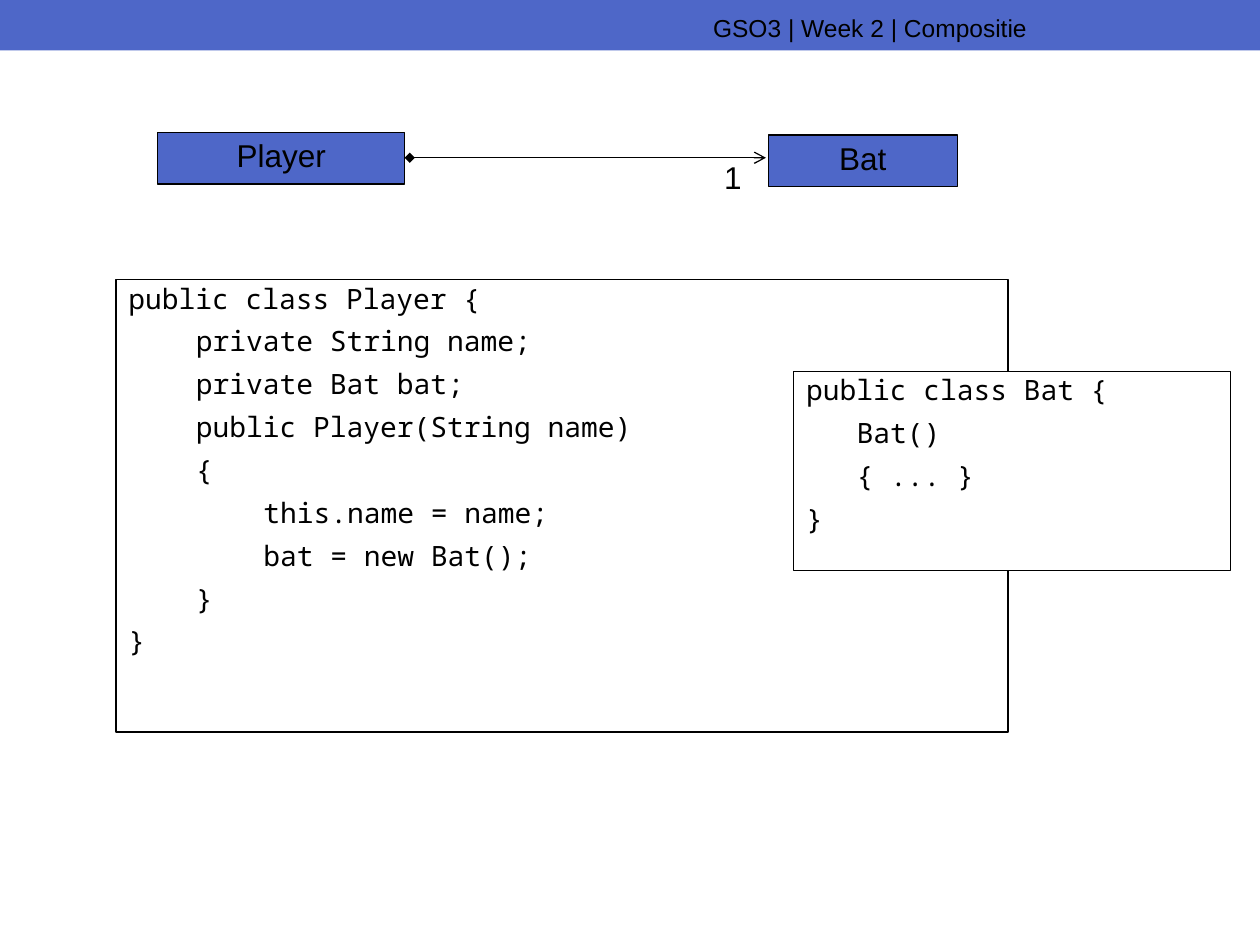
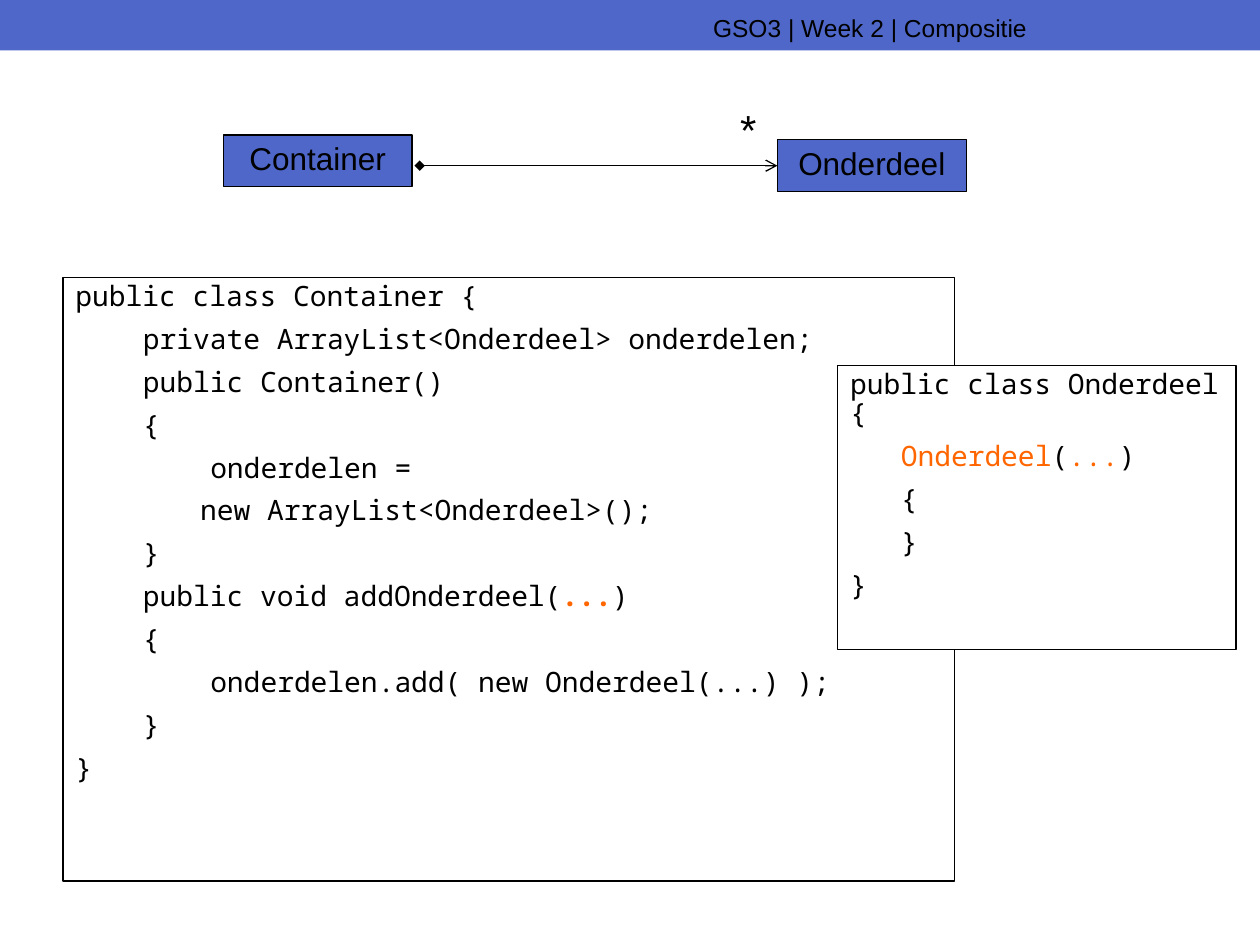
from collections import namedtuple

from lxml.etree import SubElement
from pptx import Presentation
from pptx.dml.color import RGBColor
from pptx.enum.shapes import MSO_CONNECTOR, MSO_SHAPE
from pptx.enum.text import MSO_ANCHOR, MSO_AUTO_SIZE, PP_ALIGN
from pptx.oxml.ns import qn
from pptx.util import Cm, Pt

BLUE = RGBColor(0x4E, 0x67, 0xC8)
BLACK = RGBColor(0x00, 0x00, 0x00)
WHITE = RGBColor(0xFF, 0xFF, 0xFF)
ORANGE = RGBColor(0xFF, 0x66, 0x00)

BODY_FONT = "Arial"
CODE_FONT = "Noto Sans Mono"
TITLE = "GSO3 | Week 2 | Compositie"
SLIDE_WIDTH, SLIDE_HEIGHT = 25.4, 19.05
CHARACTER_WIDTH = 0.34
CLASS_HEIGHT = 1.04

Box = namedtuple("Box", "left top width height")
Accent = namedtuple("Accent", "text bold", defaults=(False,))

PLAYER_CODE = [
    (0, "public class Player {"),
    (4, "private String name;"),
    (4, "private Bat bat;"),
    (4, "public Player(String name)"),
    (4, "{"),
    (8, "this.name = name;"),
    (8, "bat = new Bat();"),
    (4, "}"),
    (0, "}"),
]
BAT_CODE = [
    (0, "public class Bat {"),
    (3, "Bat()"),
    (3, "{ ... }"),
    (0, "}"),
]
CONTAINER_CODE = [
    (0, "public class Container {"),
    (4, "private ArrayList<Onderdeel> onderdelen;"),
    (4, "public Container()"),
    (4, "{"),
    (8, "onderdelen ="),
    (7.4, "new ArrayList<Onderdeel>();"),
    (4, "}"),
    (4, "public void addOnderdeel(", Accent("...", bold=True), ")"),
    (4, "{"),
    (8, "onderdelen.add( new Onderdeel(...) );"),
    (4, "}"),
    (0, "}"),
]
ONDERDEEL_CODE = [
    (0, "public class Onderdeel {"),
    (3, Accent("Onderdeel"), "(", Accent("..."), ")"),
    (3, "{"),
    (3, "}"),
    (0, "}"),
]


def in_cm(box):
    """Return the four measures of a box as lengths."""
    return [Cm(measure) for measure in box]


def add_run(paragraph, text, font=BODY_FONT, size=18, color=BLACK, bold=False):
    """Append formatted text to a paragraph."""
    run = paragraph.add_run()
    run.text = text
    run.font.name = font
    run.font.size = Pt(size)
    run.font.color.rgb = color
    run.font.bold = bold


def space_paragraph(paragraph, align=PP_ALIGN.LEFT, indent=0):
    """Apply the tight line spacing, half-line gap and indent."""
    paragraph.alignment = align
    paragraph.line_spacing = 0.86
    paragraph.space_before = Pt(0)
    properties = paragraph._p.get_or_add_pPr()
    properties.set("marL", str(Cm(indent)))
    properties.set("indent", "0")
    before = properties.find(qn("a:spcBef"))
    before.remove(before[0])
    SubElement(before, qn("a:spcPct"), val="50000")


def add_rectangle(slide, box, fill=None, outlined=True):
    """Add a flat rectangle with an optional fill and thin outline."""
    shape = slide.shapes.add_shape(MSO_SHAPE.RECTANGLE, *in_cm(box))
    shape.shadow.inherit = False
    if fill is None:
        shape.fill.background()
    else:
        shape.fill.solid()
        shape.fill.fore_color.rgb = fill
    if outlined:
        shape.line.color.rgb = BLACK
        shape.line.width = Pt(0.75)
    else:
        shape.line.fill.background()
    return shape


def add_header(slide, box):
    """Place the blue band with the title on top of it."""
    band = add_rectangle(slide, box, BLUE, outlined=False)
    title = slide.shapes.title
    title.element.addprevious(band.element)
    title.left, title.top, title.width, title.height = in_cm(
        Box(box.left + 1.27, box.top + 0.2, 19.69, 0.64))
    frame = title.text_frame
    frame.auto_size = MSO_AUTO_SIZE.NONE
    frame.word_wrap = True
    frame.vertical_anchor = MSO_ANCHOR.TOP
    frame.margin_top, frame.margin_bottom = Cm(0.07), Cm(0)
    paragraph = frame.paragraphs[0]
    paragraph.alignment = PP_ALIGN.RIGHT
    add_run(paragraph, TITLE, size=14)


def add_class(slide, box, name):
    """Add a class box with its centred name."""
    shape = add_rectangle(slide, box, BLUE)
    frame = shape.text_frame
    frame.word_wrap = True
    frame.vertical_anchor = MSO_ANCHOR.MIDDLE
    space_paragraph(frame.paragraphs[0], PP_ALIGN.CENTER)
    add_run(frame.paragraphs[0], name)
    return shape


def add_multiplicity(slide, box, text, size=18, align=PP_ALIGN.LEFT):
    """Add the multiplicity at the end of an association."""
    frame = slide.shapes.add_textbox(*in_cm(box)).text_frame
    frame.word_wrap = True
    space_paragraph(frame.paragraphs[0], align)
    add_run(frame.paragraphs[0], text, size=size)


def add_composition(slide, left, right, y):
    """Draw a level line from a diamond to an open arrow."""
    connector = slide.shapes.add_connector(
        MSO_CONNECTOR.STRAIGHT, Cm(left), Cm(y), Cm(right), Cm(y))
    connector.line.color.rgb = BLACK
    connector.line.width = Pt(0.75)
    line = connector.line._get_or_add_ln()
    SubElement(line, qn("a:headEnd"), type="diamond")
    SubElement(line, qn("a:tailEnd"), type="arrow")
    SubElement(connector.element.spPr, qn("a:effectLst"))
    return connector


def add_code(slide, box, lines, fill=None):
    """Add a code panel, one indented paragraph per line."""
    frame = add_rectangle(slide, box, fill).text_frame
    frame.word_wrap = True
    frame.vertical_anchor = MSO_ANCHOR.TOP
    for number, (columns, *pieces) in enumerate(lines):
        paragraph = frame.add_paragraph() if number else frame.paragraphs[0]
        space_paragraph(paragraph, indent=columns * CHARACTER_WIDTH)
        for piece in pieces:
            if isinstance(piece, Accent):
                add_run(paragraph, piece.text, font=CODE_FONT, size=16,
                        color=ORANGE, bold=piece.bold)
            else:
                add_run(paragraph, piece, font=CODE_FONT, size=16)


def add_slide(presentation):
    """Add a title-only slide with the shared header."""
    slide = presentation.slides.add_slide(presentation.slide_layouts[5])
    add_header(slide, Box(0, 0, SLIDE_WIDTH, 1.02))
    return slide


def add_player_slide(presentation):
    """Show a player composed of one bat."""
    slide = add_slide(presentation)
    add_class(slide, Box(15.49, 2.72, 3.81, CLASS_HEIGHT), "Bat")
    add_class(slide, Box(3.18, 2.67, 4.98, CLASS_HEIGHT), "Player")
    add_multiplicity(slide, Box(14.35, 3.18, 1.91, 1.02), "1")
    add_code(slide, Box(2.34, 5.64, 17.98, 9.12), PLAYER_CODE)
    add_code(slide, Box(16, 7.49, 8.81, 4.01), BAT_CODE, WHITE)
    add_composition(slide, 8.26, 15.44, 3.18)


def add_container_slide(presentation):
    """Show a container composed of many parts."""
    slide = add_slide(presentation)
    part = add_class(slide, Box(15.67, 2.82, 3.81, CLASS_HEIGHT), "Onderdeel")
    add_class(slide, Box(4.5, 2.72, 3.81, CLASS_HEIGHT), "Container")
    add_multiplicity(slide, Box(13.34, 2.11, 2.16, 1.27), "*",
                     size=24, align=PP_ALIGN.RIGHT)
    add_composition(slide, 8.46, 15.67, 3.34).end_connect(part, 1)
    add_code(slide, Box(1.27, 5.59, 17.98, 12.17), CONTAINER_CODE)
    add_code(slide, Box(16.89, 7.37, 8.03, 5.72), ONDERDEEL_CODE, WHITE)


def main():
    """Build and save the presentation."""
    presentation = Presentation()
    presentation.slide_width = Cm(SLIDE_WIDTH)
    presentation.slide_height = Cm(SLIDE_HEIGHT)
    add_player_slide(presentation)
    add_container_slide(presentation)
    presentation.save("out.pptx")


if __name__ == "__main__":
    main()
